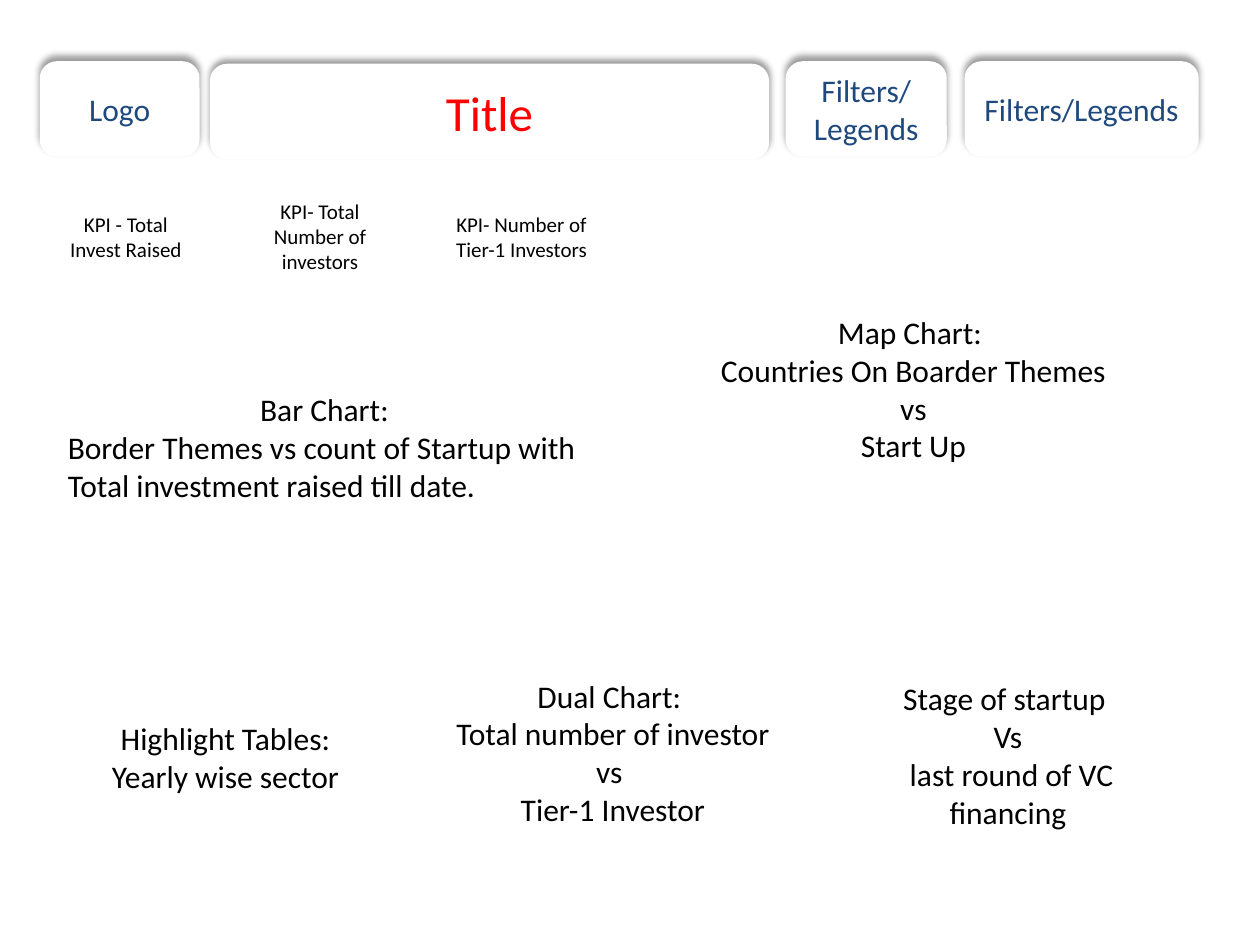
from dataclasses import dataclass

from lxml import etree
from pptx import Presentation
from pptx.dml.color import RGBColor
from pptx.enum.shapes import MSO_SHAPE
from pptx.enum.text import MSO_ANCHOR, PP_ALIGN
from pptx.oxml.ns import qn
from pptx.util import Inches, Pt

ROUNDED = MSO_SHAPE.ROUNDED_RECTANGLE
MIDDLE = MSO_ANCHOR.MIDDLE
LEFT, CENTER = PP_ALIGN.LEFT, PP_ALIGN.CENTER

FONT = "Calibri"
WHITE, BLACK, RED, NAVY = "FFFFFF", "000000", "FF0000", "1F497D"

# Layout lines shared by the panels, in inches
LEFT_EDGE = 0.33
HEADER_TOP, HEADER_HEIGHT = 0.5, 0.73
KPI_TOP, KPI_HEIGHT = 1.5, 0.75
BOTTOM_TOP = 4.92


@dataclass
class Panel:
    left: float
    top: float
    width: float
    height: float
    lines: list[str]
    size: int = 18
    color: str = BLACK
    outlined: bool = True
    shadowed: bool = False
    body_align: PP_ALIGN = CENTER


def header(left: float, width: float, text: str, top: float = HEADER_TOP,
           size: int = 18, color: str = NAVY) -> Panel:
    return Panel(left, top, width, HEADER_HEIGHT, [text], size, color, shadowed=True)


def kpi(left: float, width: float, text: str) -> Panel:
    return Panel(left, KPI_TOP, width, KPI_HEIGHT, [text], size=12)


PANELS = [
    # Header row
    header(LEFT_EDGE, 1.24, "Logo"),
    header(1.68, 4.41, "Title", top=0.52, size=28, color=RED),
    header(6.25, 1.25, "Filters/Legends"),
    header(7.67, 1.83, "Filters/Legends"),
    # Key figures
    kpi(LEFT_EDGE, 1.34, "KPI - Total Invest Raised"),
    kpi(1.83, 1.42, "KPI- Total Number of investors"),
    kpi(3.47, 1.34, "KPI- Number of Tier-1 Investors"),
    # Main charts
    Panel(LEFT_EDGE, 2.42, 4.49, 2.25,
          ["Bar Chart:",
           "Border Themes vs count of Startup with Total investment raised till date. "],
          body_align=LEFT),
    Panel(5, KPI_TOP, 4.5, 3.17,
          ["Map Chart: ", "Countries On Boarder Themes", " vs ", "Start Up"]),
    # Bottom row
    Panel(LEFT_EDGE, BOTTOM_TOP, 2.92, 2.18,
          ["Highlight Tables:", "Yearly wise sector"], outlined=False),
    Panel(3.33, 4.88, 3.07, 2.18,
          ["Dual Chart: ", "Total number of investor vs ", "Tier-1 Investor"],
          outlined=False),
    Panel(6.5, BOTTOM_TOP, 3, 2.14,
          ["Stage of startup ", "Vs", " last round of VC financing"], outlined=False),
]


def rgb(color: str) -> RGBColor:
    return RGBColor.from_string(color)


def add_shadow(box) -> None:
    """Cast a soft shadow upwards."""
    effects = box._element.spPr.find(qn("a:effectLst"))
    shadow = etree.SubElement(effects, qn("a:outerShdw"), blurRad=str(Pt(4)),
                              dist=str(Pt(3)), dir=str(270 * 60000), rotWithShape="0")
    tint = etree.SubElement(shadow, qn("a:srgbClr"), val=BLACK)
    etree.SubElement(tint, qn("a:alpha"), val="40000")


def write(para, text: str, *, size: int, color: str, align: PP_ALIGN) -> None:
    para.alignment = align
    span = para.add_run()
    span.text = text
    span.font.name = FONT
    span.font.size = Pt(size)
    span.font.color.rgb = rgb(color)


def draw_panel(page, panel: Panel) -> None:
    box = page.shapes.add_shape(ROUNDED, Inches(panel.left), Inches(panel.top),
                                Inches(panel.width), Inches(panel.height))
    box.fill.solid()
    box.fill.fore_color.rgb = rgb(WHITE)
    if panel.outlined:
        box.line.color.rgb = rgb(WHITE)
        box.line.width = Pt(2)
    else:
        box.line.fill.background()
    box.shadow.inherit = False
    if panel.shadowed:
        add_shadow(box)

    frame = box.text_frame
    frame.word_wrap = True
    frame.vertical_anchor = MIDDLE
    for index, text in enumerate(panel.lines):
        para = frame.add_paragraph() if index else frame.paragraphs[0]
        write(para, text, size=panel.size, color=panel.color,
              align=panel.body_align if index else CENTER)


deck = Presentation()
deck.slide_width, deck.slide_height = Inches(10), Inches(7.5)
page = deck.slides.add_slide(deck.slide_layouts[6])
for panel in PANELS:
    draw_panel(page, panel)
deck.save("out.pptx")
